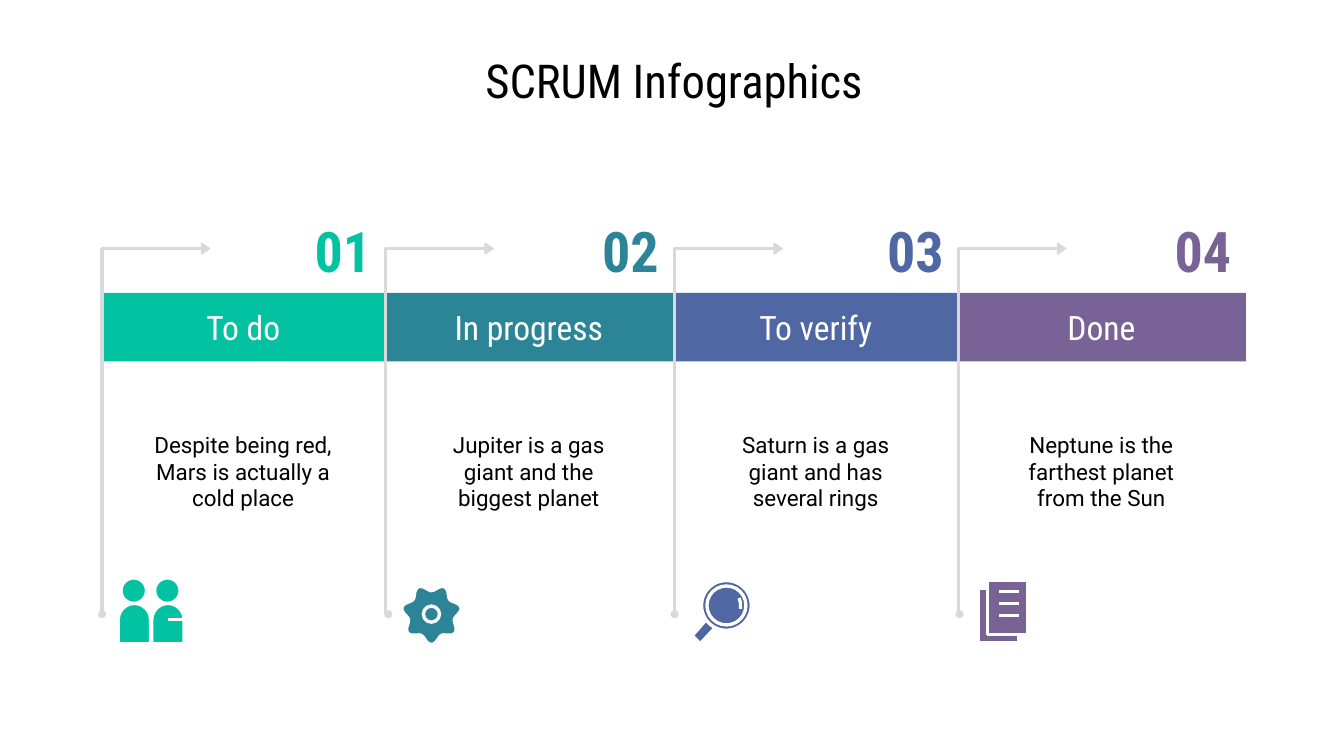
import math
from dataclasses import dataclass

from lxml import etree
from pptx import Presentation
from pptx import util as u
from pptx.dml.color import RGBColor
from pptx.enum import shapes, text
from pptx.oxml.ns import qn

SCALE = u.Inches(1) // 100
KIND = shapes.MSO_SHAPE
ANCHOR = text.MSO_ANCHOR
ALIGN = text.PP_ALIGN


@dataclass(frozen=True)
class Theme:
    ink: str = "000000"
    paper: str = "FFFFFF"
    rail: str = "D9D9D9"
    heading: str = "Roboto Condensed"
    body: str = "Roboto"
    title_size: int = 25
    number_size: int = 30
    label_size: int = 18
    detail_size: int = 12
    stroke: float = 1.78
    thin: float = 0.75


THEME = Theme()


def px(value):
    return u.Emu(round(value * SCALE))


def apply(target, values):
    for name, value in values.items():
        setattr(target, name, value)


def paint(part, fill=None, line=None, weight=THEME.stroke):
    part.shadow.inherit = False
    if fill:
        part.fill.solid()
        part.fill.fore_color.rgb = RGBColor.from_string(fill)
    else:
        part.fill.background()
    if line:
        part.line.color.rgb = RGBColor.from_string(line)
        part.line.width = u.Pt(weight)
    else:
        part.line.fill.background()
    return part


def preset(slide, kind, x, y, w, h, **style):
    return paint(slide.shapes.add_shape(kind, px(x), px(y), px(w), px(h)), **style)


def outline(slide, points, close=True, **style):
    start, *rest = [(px(x), px(y)) for x, y in points]
    builder = slide.shapes.build_freeform(*start)
    builder.add_line_segments(rest, close=close)
    return paint(builder.convert_to_shape(), **style)


def stroke(slide, x1, y1, x2, y2, color):
    rule = slide.shapes.add_connector(
        shapes.MSO_CONNECTOR.STRAIGHT, px(x1), px(y1), px(x2), px(y2))
    rule.line.color.rgb = RGBColor.from_string(color)
    rule.line.width = u.Pt(THEME.stroke)
    etree.SubElement(rule._element.spPr, qn("a:effectLst"))


def write(part, words, size, color, face=THEME.heading, bold=False,
          align=ALIGN.CENTER, anchor=ANCHOR.MIDDLE):
    frame = part.text_frame
    frame.text = words
    margins = {f"margin_{side}": px(10) for side in ("left", "top", "right", "bottom")}
    apply(frame, {"word_wrap": True, "vertical_anchor": anchor, **margins})
    for paragraph in frame.paragraphs:
        paragraph.alignment = align
        for run in paragraph.runs:
            apply(run.font, {"name": face, "size": u.Pt(size), "bold": bold})
            run.font.color.rgb = RGBColor.from_string(color)


def label(slide, x, y, w, h, words, size, color, **style):
    box = slide.shapes.add_textbox(px(x), px(y), px(w), px(h))
    write(box, words, size, color, **style)


def people_icon(slide, x, y, color):
    style = {"fill": color, "line": THEME.paper}
    for left in (x, x + 25):
        preset(slide, KIND.OVAL, left + 2, y, 19, 19, **style)
        torso = preset(slide, KIND.ROUND_2_SAME_RECTANGLE, left, y + 19, 24, 30, **style)
        torso.adjustments[0] = 0.5
    stroke(slide, x + 37, y + 31, x + 49, y + 31, THEME.paper)


def gear_icon(slide, x, y, color):
    rim = []
    for step in range(140):
        angle = math.tau * step / 140
        radius = 20 + 2.5 * math.cos(7 * angle)
        rim.append((x + 22 + radius * math.sin(angle), y + 27 + radius * math.cos(angle)))
    outline(slide, rim, fill=color, line=THEME.paper)
    preset(slide, KIND.OVAL, x + 16, y + 21, 12, 12, line=THEME.paper)


def lens_icon(slide, x, y, color):
    style = {"fill": color, "line": THEME.paper}
    handle = [(15, 27), (1, 43), (7, 49), (22, 33)]
    outline(slide, [(x + dx, y + dy) for dx, dy in handle], **style)
    for inset in (0, 4):
        side = 37 - 2 * inset
        preset(slide, KIND.OVAL, x + 8 + inset, y + 2 + inset, side, side, **style)
    glint = [(36, 15), (37, 19), (37, 23)]
    outline(slide, [(x + dx, y + dy) for dx, dy in glint], close=False, line=THEME.paper)


def pages_icon(slide, x, y, color):
    for dx, dy in ((3, 8), (10, 2)):
        preset(slide, KIND.RECTANGLE, x + dx, y + dy, 30, 40, fill=color, line=THEME.paper)
    for row in range(3):
        level = y + 10 + 9 * row
        stroke(slide, x + 18, level, x + 33, level, THEME.paper)


def heading(slide, x, y, w, h):
    label(slide, x, y, w, h, "SCRUM Infographics", THEME.title_size, THEME.ink)


def rail(slide, x, y, dot_shift):
    path = [(x + 1, y + 306), (x + 1, y + 34), (x + 79, y + 34)]
    outline(slide, path, close=False, line=THEME.rail)
    preset(slide, KIND.OVAL, x + dot_shift, y + 303, 6, 6, fill=THEME.rail)
    tip = [(x + 75, y + 30), (x + 75, y + 38), (x + 81, y + 34)]
    outline(slide, tip, fill=THEME.rail, line=THEME.rail, weight=THEME.thin)


def stage(slide, x, y, w, number, name, detail, color, icon, dot_shift):
    banner = preset(slide, KIND.RECTANGLE, x, y + 67, w, 51, fill=color)
    write(banner, name, THEME.label_size, THEME.paper)
    rail(slide, x, y, dot_shift)
    icon(slide, x + 13, y + 279, color)
    label(slide, x + w - 92, y, 91, 66, f"{number:02d}", THEME.number_size, color,
          bold=True, align=ALIGN.RIGHT, anchor=ANCHOR.TOP)
    label(slide, x + w / 2 - 80, y + 165, 160, 69, detail, THEME.detail_size,
          THEME.ink, face=THEME.body)


STAGES = [
    ("To do", "Despite being red, Mars is actually a cold place", "03C2A2", people_icon, -2),
    ("In progress", "Jupiter is a gas giant and the biggest planet", "2B8597", gear_icon, 0),
    ("To verify", "Saturn is a gas giant and has several rings", "4F67A2", lens_icon, -2),
    ("Done", "Neptune is the farthest planet\vfrom the Sun", "796295", pages_icon, -1),
]


def main():
    deck = Presentation()
    apply(deck, {"slide_width": px(1000), "slide_height": px(562.5)})
    slide = deck.slides.add_slide(deck.slide_layouts[6])
    heading(slide, 53, 33, 897, 53)
    for index, content in enumerate(STAGES):
        pair, second = divmod(index, 2)
        stage(slide, 75 + 426 * pair + 211 * second, 151, 212 + 3 * second,
              index + 1, *content)
    deck.save("out.pptx")


if __name__ == "__main__":
    main()
